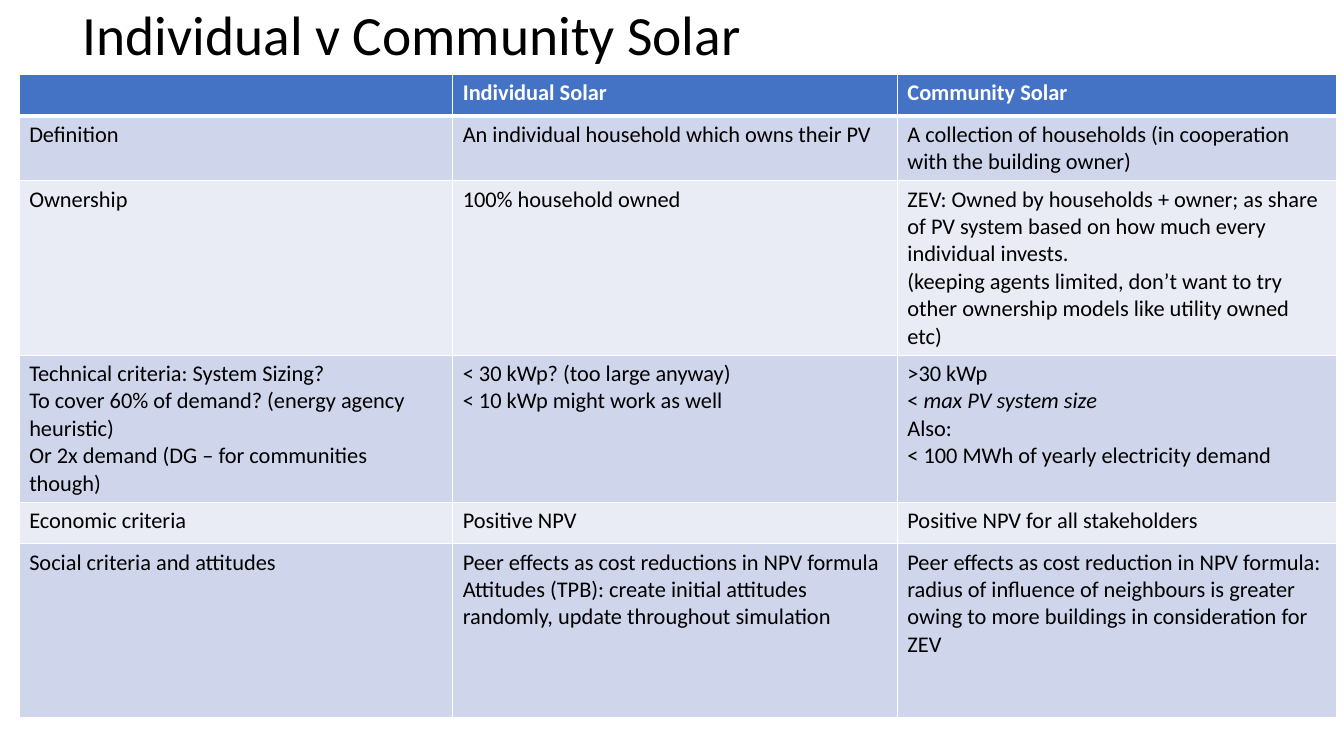
from dataclasses import dataclass

from lxml import etree
from pptx import Presentation
from pptx.dml.color import RGBColor
from pptx.enum.text import MSO_ANCHOR, MSO_AUTO_SIZE, PP_ALIGN
from pptx.oxml.ns import qn
from pptx.util import Inches, Pt

LEFT = PP_ALIGN.LEFT
MIDDLE = MSO_ANCHOR.MIDDLE
NO_FIT = MSO_AUTO_SIZE.NONE


@dataclass(frozen=True)
class Theme:
    font: str = "Calibri"
    ink: str = "000000"
    white: str = "FFFFFF"
    head: str = "4472C4"
    bands: tuple[str, str] = ("CFD5EA", "E9EBF5")
    title: float = 39.6
    body: float = 16
    rule: float = 1
    thick: float = 3


@dataclass(frozen=True)
class Run:
    text: str
    italic: bool = False


@dataclass(frozen=True)
class Row:
    height: float
    cells: tuple  # each cell is a list of paragraphs, each a list of runs


THEME = Theme()


def para(*texts: str) -> list:
    """Make one paragraph of plain text for each string."""
    return [[Run(text)] for text in texts]


def add_run(par, run: Run, size: float, color: str, bold: bool = False) -> None:
    for i, line in enumerate(run.text.split("\n")):
        if i:
            par.add_line_break()
        part = par.add_run()
        part.text = line
        font = part.font
        font.name, font.size = THEME.font, Pt(size)
        font.bold, font.italic = bold, run.italic
        font.color.rgb = RGBColor.from_string(color)


def add_rules(cell, base: float) -> None:
    props = cell._tc.get_or_add_tcPr()
    for i, side in enumerate("LRTB"):
        width = base if side == "B" else THEME.rule
        line = etree.Element(qn(f"a:ln{side}"), w=str(Pt(width)))
        fill = etree.SubElement(line, qn("a:solidFill"))
        etree.SubElement(fill, qn("a:srgbClr"), val=THEME.white)
        props.insert(i, line)


def fill_cell(cell, paras: list, fill: str, head: bool) -> None:
    cell.fill.solid()
    cell.fill.fore_color.rgb = RGBColor.from_string(fill)
    add_rules(cell, THEME.thick if head else THEME.rule)
    frame = cell.text_frame
    for i, runs in enumerate(paras):
        par = frame.add_paragraph() if i else frame.paragraphs[0]
        for run in runs:
            add_run(par, run, THEME.body, THEME.white if head else THEME.ink, head)


WIDTHS = (4.3, 4.41, 4.36)
ROWS = (
    Row(0.41, ([], para("Individual Solar"), para("Community Solar"))),
    Row(0.64, (
        para("Definition"),
        para("An individual household which owns their PV"),
        para("A collection of households (in cooperation with the building owner)"),
    )),
    Row(1.73, (
        para("Ownership"),
        para("100% household owned"),
        para("ZEV: Owned by households + owner; as share of PV system based on "
             "how much every individual invests.",
             "(keeping agents limited, don’t want to try other ownership models "
             "like utility owned etc)"),
    )),
    Row(1.46, (
        para("Technical criteria: System Sizing?\n"
             "To cover 60% of demand? (energy agency heuristic)",
             "Or 2x demand (DG – for communities though)"),
        para("< 30 kWp? (too large anyway)", "< 10 kWp might work as well"),
        [*para(">30 kWp"),
         [Run("< "), Run("max PV system size", italic=True)],
         *para("Also:", "< 100 MWh of yearly electricity demand")],
    )),
    Row(0.41, (
        para("Economic criteria"),
        para("Positive NPV"),
        para("Positive NPV for all stakeholders"),
    )),
    Row(1.73, (
        para("Social criteria and attitudes"),
        para("Peer effects as cost reductions in NPV formula",
             "Attitudes (TPB): create initial attitudes randomly, update "
             "throughout simulation"),
        para("Peer effects as cost reduction in NPV formula: radius of influence "
             "of neighbours is greater owing to more buildings in consideration "
             "for ZEV"),
    )),
)

deck = Presentation()
deck.slide_width, deck.slide_height = Inches(13.33), Inches(7.5)
slide = deck.slides.add_slide(deck.slide_layouts[5])

# Title
title = slide.shapes.title
title.left, title.top = Inches(0.72), Inches(0.08)
title.width, title.height = Inches(11.31), Inches(0.58)
frame = title.text_frame
frame.word_wrap, frame.auto_size = True, NO_FIT
frame.vertical_anchor = MIDDLE
par = frame.paragraphs[0]
par.alignment, par.line_spacing = LEFT, 0.9
add_run(par, Run("Individual v Community Solar"), THEME.title, THEME.ink)

# Comparison table
table = slide.shapes.add_table(
    len(ROWS), len(WIDTHS), Inches(0.19), Inches(0.74),
    Inches(sum(WIDTHS)), Inches(sum(row.height for row in ROWS)),
).table
for col, width in zip(table.columns, WIDTHS):
    col.width = Inches(width)
for r, row in enumerate(ROWS):
    table.rows[r].height = Inches(row.height)
    fill = THEME.bands[(r - 1) % 2] if r else THEME.head
    for c, paras in enumerate(row.cells):
        fill_cell(table.cell(r, c), paras, fill, head=r == 0)

deck.save("out.pptx")
